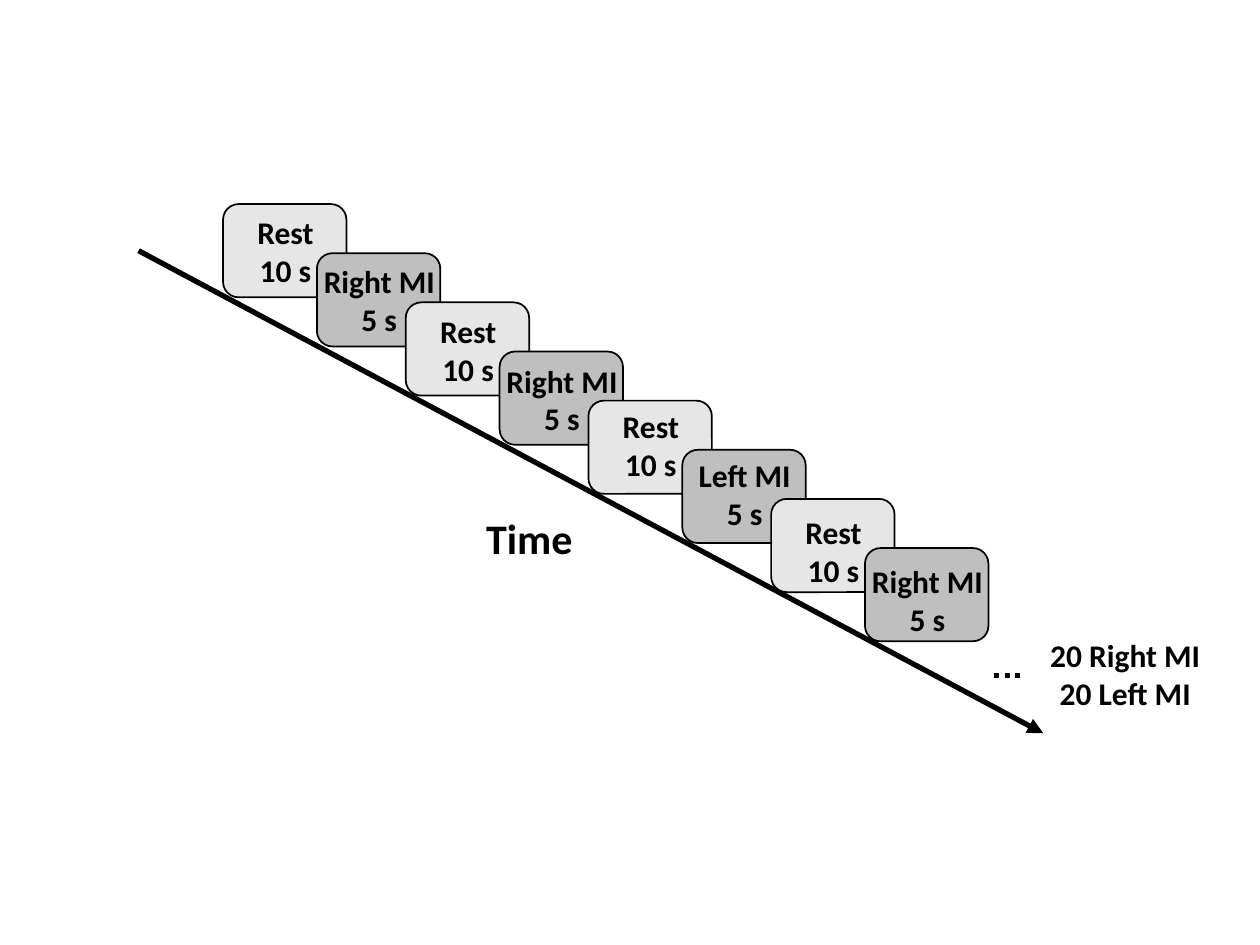
"""Build a slide showing the motor imagery trial sequence along a time arrow."""
import pptx
import pptx.util
import pptx.dml.color
import pptx.enum.dml
import pptx.enum.shapes
import pptx.enum.text
import pptx.oxml.ns
import lxml.etree

COLORS = {"ink": "000000", "rest": "E7E6E6", "task": "BFBFBF"}
ALIGN = pptx.enum.text.PP_ALIGN

prs = pptx.Presentation()
prs.slide_width, prs.slide_height = pptx.util.Inches(10), pptx.util.Inches(7.5)
s = prs.slides.add_slide(prs.slide_layouts[6])
col, row = prs.slide_width / 100, prs.slide_height / 75


def add_text(text, x, y, h=7.1, size=18, align=ALIGN.CENTER):
    tb = s.shapes.add_textbox(int(x * col), int(y * row), int(14.2 * col), int(h * row))
    tf = tb.text_frame
    tf.word_wrap = True
    tf.auto_size = pptx.enum.text.MSO_AUTO_SIZE.SHAPE_TO_FIT_TEXT
    tf.text = text
    for p in tf.paragraphs:
        p.alignment = align
        r = p.runs[0]
        r.font.name, r.font.size, r.font.bold = "Calibri", pptx.util.Pt(size), True
        r.font.color.rgb = pptx.dml.color.RGBColor.from_string(COLORS["ink"])


def add_line(x1, y1, x2, y2):
    cn = s.shapes.add_connector(pptx.enum.shapes.MSO_CONNECTOR.STRAIGHT,
                                int(x1 * col), int(y1 * row), int(x2 * col), int(y2 * row))
    cn.line.width = pptx.util.Pt(3)
    cn.line.color.rgb = pptx.dml.color.RGBColor.from_string(COLORS["ink"])
    lxml.etree.SubElement(cn.element.spPr, pptx.oxml.ns.qn("a:effectLst"))
    return cn


arrow = add_line(11, 19.9, 82.8, 58.2)
lxml.etree.SubElement(arrow.line._get_or_add_ln(), pptx.oxml.ns.qn("a:tailEnd"), type="triangle")
add_text("Time", 37.6, 40.2, h=5, size=24, align=ALIGN.LEFT)

tasks = ["Right MI", "Right MI", "Left MI", "Right MI"]
label_drops = [0.2, 0.3, 0, 0.6]
labels = []
for i, (task, drop) in enumerate(zip(tasks, label_drops)):
    for j, (fill, text) in enumerate([("rest", "Rest\n10 s"), ("task", f"{task}\n5 s")]):
        x, y = 17.7 + 14.5 * i + 7.45 * j, 16.2 + 7.8 * i + 3.9 * j
        sp = s.shapes.add_shape(pptx.enum.shapes.MSO_SHAPE.FLOWCHART_ALTERNATE_PROCESS,
                                int(x * col), int(y * row), int(9.8 * col), int(7.4 * row))
        sp.shadow.inherit = False
        sp.fill.solid()
        sp.fill.fore_color.rgb = pptx.dml.color.RGBColor.from_string(COLORS[fill])
        sp.line.color.rgb = pptx.dml.color.RGBColor.from_string(COLORS["ink"])
        sp.line.width = pptx.util.Pt(1)
        labels.append((text, x - 2.15, y + drop))

for label in labels:
    add_text(*label)

dots = add_line(78.9, 53.6, 81.1, 53.6)
dots.line.dash_style = pptx.enum.dml.MSO_LINE.ROUND_DOT
add_text("20 Right MI\n20 Left MI", 82.2, 50)

prs.save("out.pptx")
